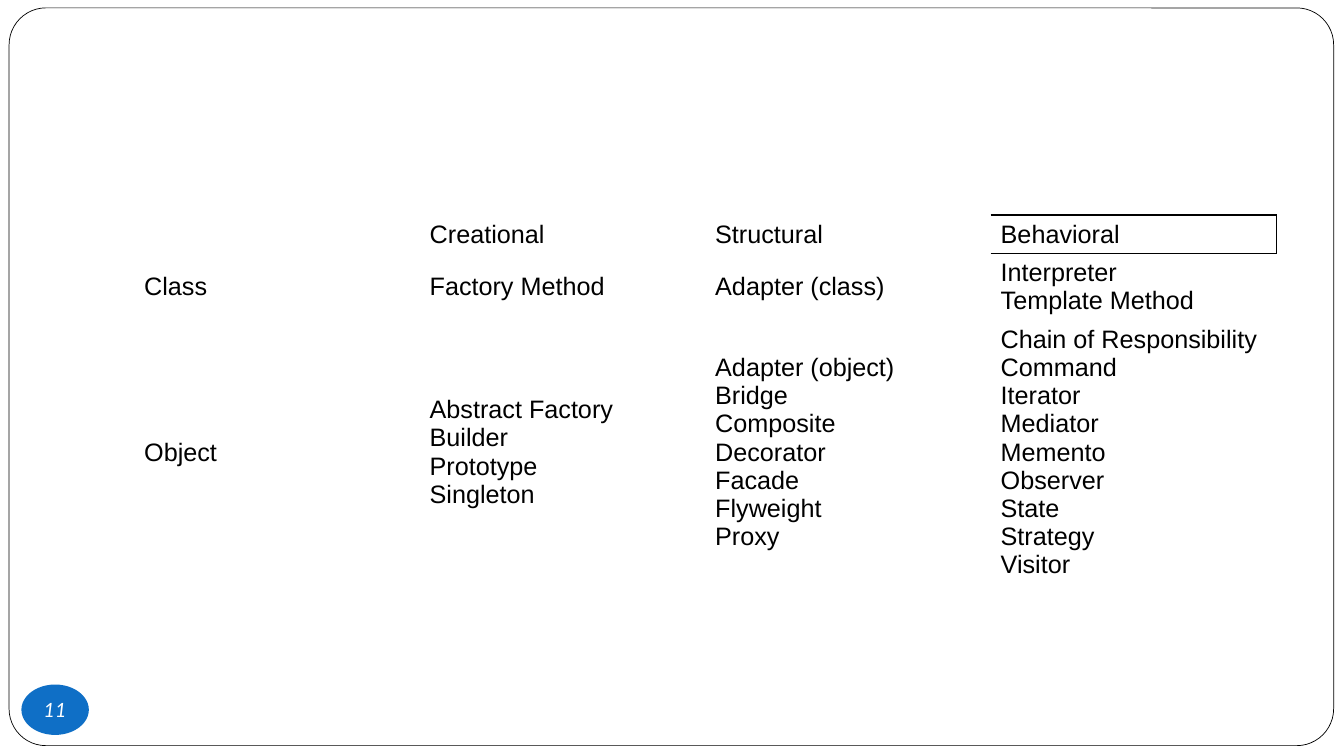
"""Build a slide that classifies design patterns by scope and purpose."""
from dataclasses import dataclass

from lxml import etree
from pptx import Presentation
from pptx import util as u
from pptx.dml.color import RGBColor
from pptx.enum import shapes, text
from pptx.oxml import ns


@dataclass(frozen=True)
class Theme:
    ink: str = "000000"
    paper: str = "FFFFFF"
    accent: str = "0F6FC6"
    body_font: str = "Arial"
    number_font: str = "Lato"
    body_size: int = 18
    number_size: int = 14
    plain_table: str = "{2D5ABB26-0587-4C30-8999-92F81FD0307C}"


@dataclass(frozen=True)
class Box:
    left: float
    top: float
    width: float
    height: float

    def lengths(self) -> list:
        return [u.Cm(v) for v in (self.left, self.top, self.width, self.height)]


@dataclass(frozen=True)
class Row:
    height: float
    cells: tuple


@dataclass(frozen=True)
class Border:
    side: str
    points: float


THEME = Theme()
FRAME = Box(0.23, 0.2, 33.38, 18.59)
NUMBER = Box(0.54, 17.25, 1.7, 1.27)
TABLE = Box(3.38, 5.42, 28.78, 9.3)
ROWS = (
    Row(0.97, ((), ("Creational",), ("Structural",), ("Behavioral",))),
    Row(1.68, (
        ("Class",),
        ("Factory Method",),
        ("Adapter (class)",),
        ("Interpreter", "Template Method"),
    )),
    Row(6.65, (
        ("Object",),
        ("Abstract Factory", "Builder", "Prototype", "Singleton"),
        ("Adapter (object)", "Bridge", "Composite", "Decorator", "Facade",
         "Flyweight", "Proxy"),
        ("Chain of Responsibility", "Command", "Iterator", "Mediator", "Memento",
         "Observer", "State", "Strategy", "Visitor"),
    )),
)
BORDERS = (Border("R", 1), Border("T", 1.5), Border("B", 1))


def apply(target, values: dict) -> None:
    for name, value in values.items():
        setattr(target, name, value)


def style(font, name: str, size: int, color: str, italic: bool = False) -> None:
    apply(font, {"name": name, "size": u.Pt(size), "italic": italic})
    font.color.rgb = RGBColor.from_string(color)


def add_shape(s, kind, box: Box, fill: str):
    sp = s.shapes.add_shape(kind, *box.lengths())
    sp.shadow.inherit = False
    sp.fill.solid()
    sp.fill.fore_color.rgb = RGBColor.from_string(fill)
    sp.line.fill.background()
    return sp


def add_frame(s) -> None:
    sp = add_shape(s, shapes.MSO_SHAPE.ROUNDED_RECTANGLE, FRAME, THEME.paper)
    sp.adjustments[0] = 0.05
    sp.line.color.rgb = RGBColor.from_string(THEME.ink)
    sp.line.width = u.Pt(0.5)


def add_number(s, number: str) -> None:
    sp = add_shape(s, shapes.MSO_SHAPE.OVAL, NUMBER, THEME.accent)
    tf = sp.text_frame
    apply(tf, {
        "margin_left": 0, "margin_right": 0, "margin_top": 0, "margin_bottom": 0,
        "word_wrap": False, "vertical_anchor": text.MSO_ANCHOR.MIDDLE,
    })
    p = tf.paragraphs[0]
    p.alignment = text.PP_ALIGN.CENTER
    r = p.add_run()
    r.text = number
    style(r.font, THEME.number_font, THEME.number_size, THEME.paper, italic=True)


def add_border(cell, border: Border) -> None:
    tc_pr = cell._tc.get_or_add_tcPr()
    ln = etree.SubElement(tc_pr, ns.qn(f"a:ln{border.side}"), w=str(u.Pt(border.points)))
    fill = etree.SubElement(ln, ns.qn("a:solidFill"))
    etree.SubElement(fill, ns.qn("a:srgbClr"), val=THEME.ink)


def fill_cell(cell, lines: tuple) -> None:
    cell.fill.background()
    cell.vertical_anchor = text.MSO_ANCHOR.MIDDLE
    p = cell.text_frame.paragraphs[0]
    style(p.font, THEME.body_font, THEME.body_size, THEME.ink)
    for i, line in enumerate(lines):
        if i:
            p.add_line_break()
        r = p.add_run()
        r.text = line
        style(r.font, THEME.body_font, THEME.body_size, THEME.ink)


def add_patterns(s) -> None:
    columns = len(ROWS[0].cells)
    table = s.shapes.add_table(len(ROWS), columns, *TABLE.lengths()).table
    apply(table, {"first_row": False, "horz_banding": False})
    table._tbl.tblPr.find(ns.qn("a:tableStyleId")).text = THEME.plain_table
    for column in table.columns:
        column.width = u.Cm(TABLE.width / columns)
    for border in BORDERS:
        add_border(table.cell(0, columns - 1), border)
    for i, row in enumerate(ROWS):
        table.rows[i].height = u.Cm(row.height)
        for j, lines in enumerate(row.cells):
            fill_cell(table.cell(i, j), lines)


def main() -> None:
    prs = Presentation()
    apply(prs, {"slide_width": u.Cm(33.87), "slide_height": u.Cm(19.05)})
    s = prs.slides.add_slide(prs.slide_layouts[6])
    add_frame(s)
    add_patterns(s)
    add_number(s, "11")
    prs.save("out.pptx")


if __name__ == "__main__":
    main()
